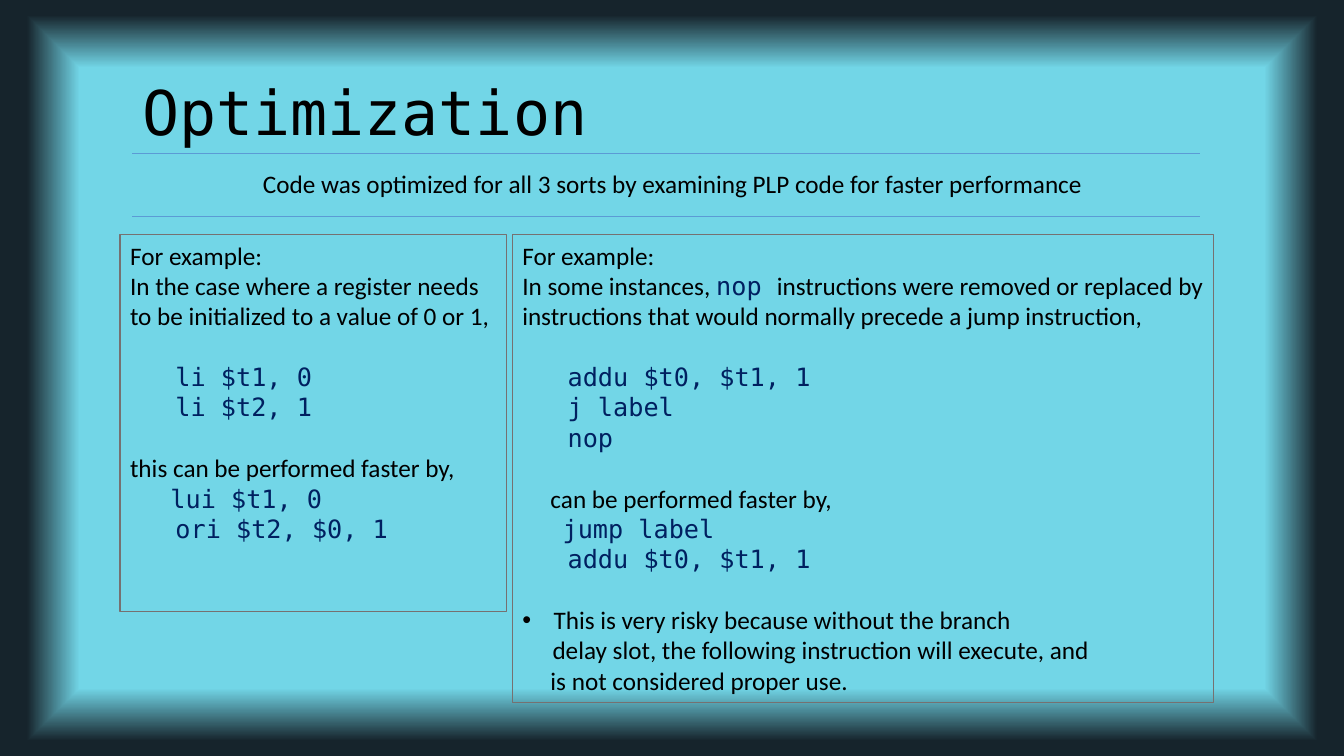
from dataclasses import dataclass

from lxml import etree
from pptx import Presentation
from pptx.dml import color as col
from pptx.enum import shapes, text
from pptx.oxml import ns
from pptx.util import Inches, Pt


# Theme: colours, fonts and type sizes
@dataclass(frozen=True)
class Theme:
    ink: str = "000000"
    code: str = "002060"
    rule: str = "5B9BD5"
    edge: str = "767171"
    glow: str = "72D6E7"
    dark: str = "16242C"
    sans: str = "Calibri"
    mono: str = "DejaVu Sans Mono"
    head: int = 44
    body: int = 18
    gap: int = 22


T = Theme()


@dataclass(frozen=True)
class Run:
    words: str
    code: bool = False
    size: int = T.body


@dataclass(frozen=True)
class Line:
    runs: tuple[Run, ...]
    left: float = 0
    gap: int = 0
    dot: bool = False


@dataclass(frozen=True)
class Panel:
    left: float
    top: float
    width: float
    height: float
    lines: tuple[Line, ...]


def say(words: str, left: float = 0, gap: int = 0, dot: bool = False) -> Line:
    return Line((Run(words),), left, gap, dot)


def code(words: str, left: float = 0.45, gap: int = 0) -> Line:
    return Line((Run(words, True),), left, gap)


# Content
TITLE = Panel(1.31, 0.68, 4.64, 0.84, (Line((Run("Optimization", True, T.head),)),))
LEAD = Panel(2.51, 1.62, 8.49, 0.71, (
    say("Code was optimized for all 3 sorts by examining PLP code for faster performance"),
))
LOAD = Panel(1.19, 2.33, 3.83, 3.74, (
    say("For example:"),
    say("In the case where a register needs"),
    say("to be initialized to a value of 0 or 1,"),
    code("li $t1, 0", gap=T.gap),
    code("li $t2, 1"),
    say("this can be performed faster by,", gap=T.gap),
    code("lui $t1, 0", 0.4),
    code("ori $t2, $0, 1"),
))
JUMP = Panel(5.08, 2.33, 6.96, 4.64, (
    say("For example:"),
    Line((
        Run("In some instances, "),
        Run("nop ", True),
        Run("instructions were removed or replaced by instructions "
            "that would normally precede a jump instruction,"),
    )),
    code("addu $t0, $t1, 1", gap=T.gap),
    code("j label"),
    code("nop"),
    say("can be performed faster by,", 0.28, T.gap),
    code("jump label", 0.4),
    code("addu $t0, $t1, 1"),
    say("This is very risky because without the branch", 0.31, T.gap, True),
    say("delay slot, the following instruction will execute, and", 0.3),
    say("is not considered proper use.", 0.28),
))
RULES = (1.52, 2.15)

FRAME = {
    "word_wrap": True,
    "auto_size": text.MSO_AUTO_SIZE.NONE,
    "vertical_anchor": text.MSO_ANCHOR.TOP,
    "margin_left": Inches(0.1), "margin_right": Inches(0.1),
    "margin_top": Inches(0.05), "margin_bottom": Inches(0.05),
}


def apply(item: object, form: dict) -> None:
    for name, value in form.items():
        setattr(item, name, value)


def tint(hue: str) -> col.RGBColor:
    return col.RGBColor.from_string(hue)


# Drawing
def paint(slide) -> None:
    fill = slide.background.fill
    fill.gradient()
    for stop, (place, hue) in zip(fill.gradient_stops, ((0.82, T.glow), (0.96, T.dark))):
        stop.position = place
        stop.color.rgb = tint(hue)
    grad = slide.element.find(".//" + ns.qn("a:gradFill"))
    for lin in grad.findall(ns.qn("a:lin")):
        grad.remove(lin)
    shade = etree.SubElement(grad, ns.qn("a:path"), {"path": "shape"})
    sides = dict.fromkeys("ltrb", "50000")
    etree.SubElement(shade, ns.qn("a:fillToRect"), sides)


def write(box, panel: Panel) -> None:
    apply(box, {k: Inches(getattr(panel, k)) for k in ("left", "top", "width", "height")})
    frame = box.text_frame
    apply(frame, FRAME)
    for i, line in enumerate(panel.lines):
        para = frame.add_paragraph() if i else frame.paragraphs[0]
        apply(para, {"alignment": text.PP_ALIGN.LEFT, "line_spacing": 1.0,
                     "space_before": Pt(line.gap), "space_after": Pt(0)})
        prop = para._p.get_or_add_pPr()
        prop.set("marL", str(Inches(line.left)))
        prop.set("indent", str(-Inches(line.left) if line.dot else 0))
        if line.dot:
            etree.SubElement(prop, ns.qn("a:buFont"), {"typeface": "Arial"})
            etree.SubElement(prop, ns.qn("a:buChar"), {"char": "•"})
        else:
            etree.SubElement(prop, ns.qn("a:buNone"))
        for part in line.runs:
            run = para.add_run()
            run.text = part.words
            apply(run.font, {"name": T.mono if part.code else T.sans,
                             "size": Pt(part.size)})
            blue = part.code and part.size == T.body
            run.font.color.rgb = tint(T.code if blue else T.ink)


def rule(slide, top: float) -> None:
    line = slide.shapes.add_connector(
        shapes.MSO_CONNECTOR.STRAIGHT,
        Inches(1.31), Inches(top), Inches(11.9), Inches(top))
    line.line.color.rgb = tint(T.rule)
    line.line.width = Pt(0.5)
    etree.SubElement(line._element.spPr, ns.qn("a:effectLst"))


def main() -> None:
    deck = Presentation()
    apply(deck, {"slide_width": Inches(13.33), "slide_height": Inches(7.5)})
    slide = deck.slides.add_slide(deck.slide_layouts.get_by_name("Two Content"))
    paint(slide)
    # Title and lead sentence between the rules
    write(slide.shapes.title, TITLE)
    write(slide.shapes.add_textbox(0, 0, 0, 0), LEAD)
    for top in RULES:
        rule(slide, top)
    # Framed examples
    for spot, panel in ((1, LOAD), (2, JUMP)):
        box = slide.placeholders[spot]
        write(box, panel)
        box.line.color.rgb = tint(T.edge)
        box.line.width = Pt(0.75)
    deck.save("out.pptx")


if __name__ == "__main__":
    main()
